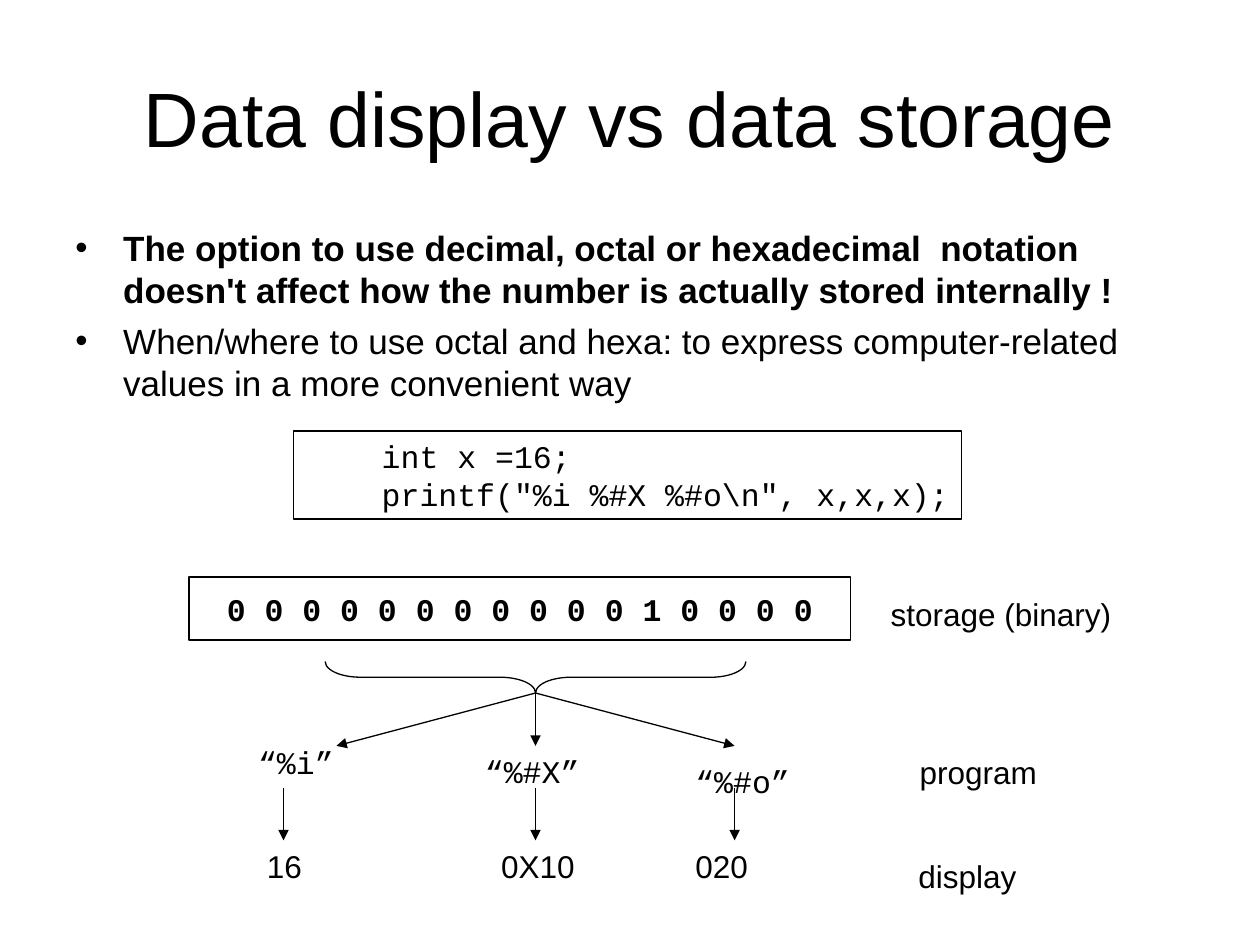
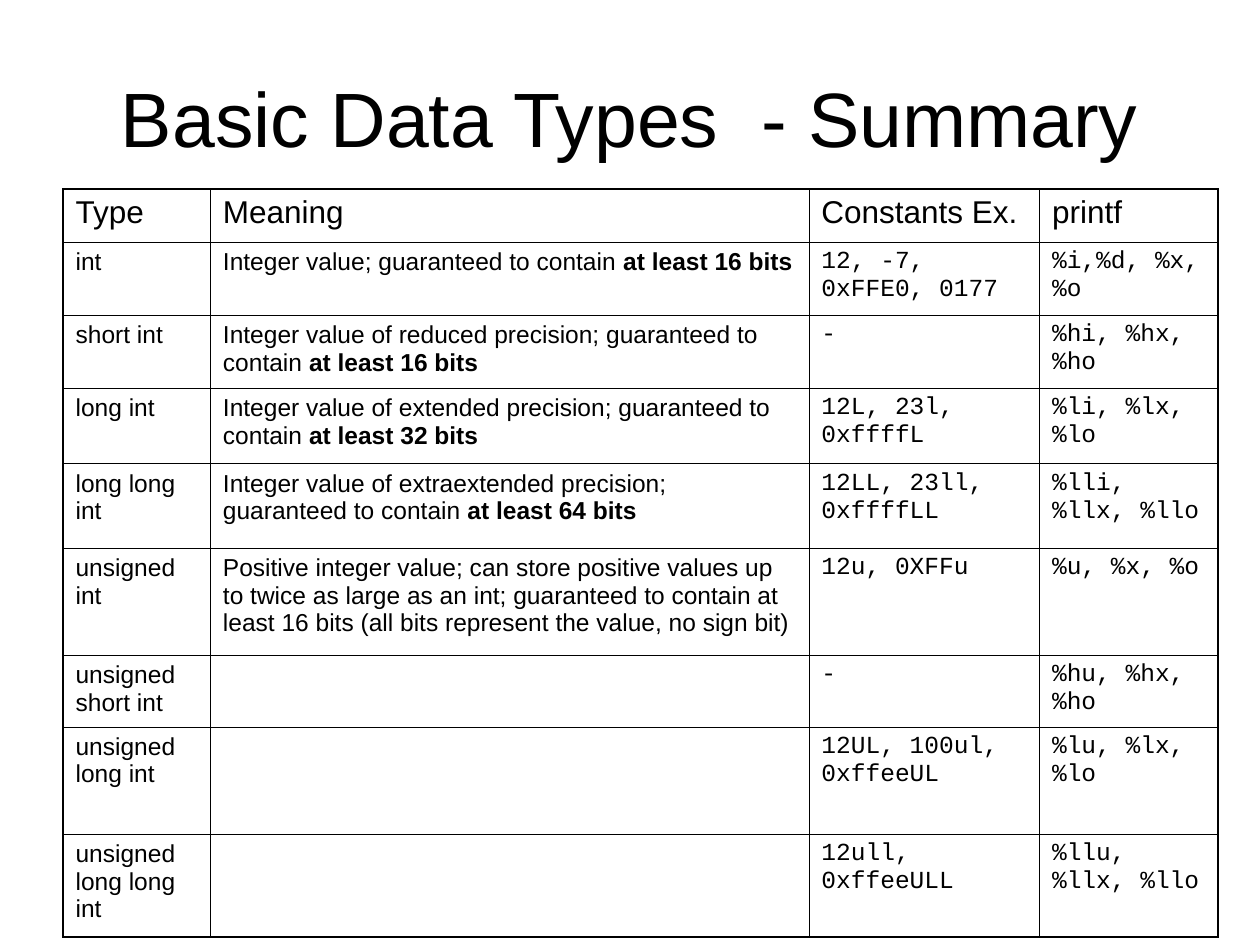
from lxml.etree import SubElement
from pptx import Presentation
from pptx.dml.color import RGBColor
from pptx.enum.shapes import MSO_CONNECTOR, MSO_SHAPE
from pptx.enum.text import MSO_ANCHOR, MSO_AUTO_SIZE, PP_ALIGN
from pptx.oxml.ns import qn
from pptx.util import Inches, Pt

COLORS = {"ink": "000000"}
SANS, MONO = "Arial", "Courier New"
LINE_WIDTH = 0.75
INNER_BORDER, OUTER_BORDER = 0.45, 1.08

HEADERS = ["Type", "Meaning", "Constants Ex.", "printf"]
TYPES = [
    ["int", "Integer value; guaranteed to contain *at least 16 bits*",
     "12, -7, 0xFFE0, 0177", "%i,%d, %x, %o"],
    ["short int", "Integer value of reduced precision; guaranteed to contain *at least 16 bits*",
     "-", "%hi, %hx, %ho"],
    ["long int", "Integer value of extended precision; guaranteed to contain *at least 32 bits*",
     "12L, 23l, 0xffffL", "%li, %lx, %lo"],
    ["long long int",
     "Integer value of extraextended precision; guaranteed to contain *at least 64 bits*",
     "12LL, 23ll, 0xffffLL", "%lli, %llx, %llo"],
    ["unsigned int",
     "Positive integer value; can store positive values up to twice as large as an int; "
     "guaranteed to contain at least 16 bits (all bits represent the value, no sign bit)",
     "12u, 0XFFu", "%u, %x, %o"],
    ["unsigned short int", "", "-", "%hu, %hx, %ho"],
    ["unsigned long int", "", "12UL, 100ul, 0xffeeUL", "%lu, %lx, %lo"],
    ["unsigned long long int", "", "12ull, 0xffeeULL", "%llu, %llx, %llo"],
]
COLUMN_WIDTHS = [1.17, 4.75, 1.83, 1.42]
ROW_HEIGHTS = [0.42, 0.58, 0.58, 0.6, 0.67, 0.85, 0.57, 0.85, 0.82]


def ink():
    """Return the colour shared by text and lines."""
    return RGBColor.from_string(COLORS["ink"])


def inches(*lengths):
    """Convert plain numbers to lengths."""
    return [Inches(length) for length in lengths]


def write(frame, lines, size, font=SANS, **paragraph_format):
    """Fill a text frame; asterisks enclose bold words."""
    for index, line in enumerate(lines):
        paragraph = frame.paragraphs[0] if index == 0 else frame.add_paragraph()
        for name, value in paragraph_format.items():
            setattr(paragraph, name, value)
        paragraph.font.size = Pt(size)
        for part, text in enumerate(line.split("*")):
            if text:
                run = paragraph.add_run()
                run.text = text
                values = {"name": font, "size": Pt(size), "bold": part % 2 == 1}
                for name, value in values.items():
                    setattr(run.font, name, value)
                run.font.color.rgb = ink()


def add_text(slide, box, lines, size=18, font=SANS, wrap=False,
             anchor=MSO_ANCHOR.TOP, **paragraph_format):
    """Add a text box and return its frame; unwrapped boxes grow with their text."""
    frame = slide.shapes.add_textbox(*inches(*box)).text_frame
    frame.word_wrap = wrap
    frame.auto_size = MSO_AUTO_SIZE.NONE if wrap else MSO_AUTO_SIZE.SHAPE_TO_FIT_TEXT
    frame.vertical_anchor = anchor
    write(frame, lines, size, font, **paragraph_format)
    return frame


def add_outline(slide, preset, box):
    """Add an unfilled shape with a thin line."""
    shape = slide.shapes.add_shape(preset, *inches(*box))
    shape.shadow.inherit = False
    shape.fill.background()
    shape.line.color.rgb = ink()
    shape.line.width = Pt(LINE_WIDTH)
    return shape


def add_arrow(slide, start, end):
    """Draw a straight arrow between two points."""
    arrow = slide.shapes.add_connector(MSO_CONNECTOR.STRAIGHT, *inches(*start, *end))
    arrow.line.color.rgb = ink()
    arrow.line.width = Pt(LINE_WIDTH)
    SubElement(arrow.get_or_add_ln(), qn("a:tailEnd"), type="triangle")
    SubElement(arrow.element.spPr, qn("a:effectLst"))


def add_title(slide, text):
    """Place the centred slide title."""
    add_text(slide, (0.5, 0.3, 9, 1.25), [text], 44, wrap=True,
             anchor=MSO_ANCHOR.MIDDLE, alignment=PP_ALIGN.CENTER)


def add_bullets(slide, box, lines):
    """Place a bulleted list with hanging indents."""
    frame = add_text(slide, box, lines, 20, wrap=True, space_before=Pt(5))
    for paragraph in frame.paragraphs:
        properties = paragraph._p.get_or_add_pPr()
        properties.set("marL", str(Inches(0.38)))
        properties.set("indent", str(-Inches(0.38)))
        SubElement(properties, qn("a:buFont"), typeface=SANS)
        SubElement(properties, qn("a:buChar"), char="•")


def add_framed_code(slide, box, lines, inset=0.1, anchor=MSO_ANCHOR.TOP,
                    alignment=PP_ALIGN.LEFT):
    """Place monospaced text in a rectangle."""
    frame = add_outline(slide, MSO_SHAPE.RECTANGLE, box).text_frame
    frame.margin_left = Inches(inset)
    frame.word_wrap = False
    frame.vertical_anchor = anchor
    write(frame, lines, 18, MONO, alignment=alignment)


def add_format_branches(slide, left, top, width):
    """Draw the brace and its three branches from format to displayed value."""
    depth = 0.25
    center = left + width / 2
    fork = top + depth
    brace = add_outline(slide, MSO_SHAPE.RIGHT_BRACE,
                        (center - depth / 2, fork - (depth + width) / 2, depth, width))
    brace.rotation = 90
    brace.adjustments[0] = 1.12

    branches = [
        ("“%i”", (-2.3, 0.35, 0.8), -1.58, -2, "16", (-2.23, 0.5)),
        ("“%#X”", (-0.5, 0.42, 0.95), 0, 0, "0X10", (-0.37, 0.8)),
        ("“%#o”", (1.17, 0.5, 0.95), 1.58, 1.58, "020", (1.17, 0.64)),
    ]
    for code, code_box, branch_end, arrow_x, value, value_box in branches:
        code_x, code_y, code_width = code_box
        value_x, value_width = value_box
        add_arrow(slide, (center, fork), (center + branch_end, fork + 0.42))
        add_text(slide, (center + code_x, fork + code_y, code_width, 0.4), [code], font=MONO)
        add_arrow(slide, (center + arrow_x, fork + 0.75), (center + arrow_x, fork + 1.17))
        add_text(slide, (center + value_x, fork + 1.17, value_width, 0.4), [value])


def set_borders(cell, widths):
    """Set the left, right, top and bottom border widths of a cell."""
    properties = cell._tc.get_or_add_tcPr()
    for side, width in zip("LRTB", widths):
        line = SubElement(properties, qn(f"a:ln{side}"), w=str(Pt(width)))
        fill = SubElement(line, qn("a:solidFill"))
        SubElement(fill, qn("a:srgbClr"), val=COLORS["ink"])


def add_types_table(slide, left, top):
    """Place the table of data types with a heavier outer border."""
    rows = [HEADERS, *TYPES]
    table = slide.shapes.add_table(
        len(rows), len(HEADERS),
        *inches(left, top, sum(COLUMN_WIDTHS), sum(ROW_HEIGHTS))).table
    table.first_row = table.horz_banding = False
    for column, width in zip(table.columns, COLUMN_WIDTHS):
        column.width = Inches(width)
    for row, height in zip(table.rows, ROW_HEIGHTS):
        row.height = Inches(height)

    last_row, last_column = len(rows) - 1, len(HEADERS) - 1
    for r, texts in enumerate(rows):
        for c, text in enumerate(texts):
            cell = table.cell(r, c)
            edges = (c == 0, c == last_column, r == 0, r == last_row)
            set_borders(cell, [OUTER_BORDER if edge else INNER_BORDER for edge in edges])
            cell.fill.background()
            size, space = (18, 4.5) if r == 0 else (14, 3.5)
            font = MONO if r > 0 and c >= 2 else SANS
            write(cell.text_frame, [text], size, font, space_before=Pt(space))


def build_storage_slide(slide):
    """Show how one stored number is displayed in three notations."""
    add_title(slide, "Data display vs data storage")
    add_bullets(slide, (0.5, 1.75, 9, 4.95), [
        "*The option to use decimal, octal or hexadecimal  notation doesn't affect "
        "how the number is actually stored internally !*",
        "When/where to use octal and hexa: to express computer-related values "
        "in a more convenient way",
    ])
    add_framed_code(slide, (2.33, 3.42, 5.3, 0.7),
                    ["int x =16;", r'printf("%i %#X %#o\n", x,x,x);'], inset=0.7)
    bits = " ".join(format(16, "016b"))
    add_framed_code(slide, (1.5, 4.58, 5.25, 0.5), [f"*{bits}*"],
                    anchor=MSO_ANCHOR.MIDDLE, alignment=PP_ALIGN.CENTER)
    add_format_branches(slide, 2.58, 5.25, 3.34)
    for label, left, top, width in [("storage (binary)", 6.97, 4.67, 1.95),
                                    ("program", 7.2, 5.93, 1.13),
                                    ("display", 7.19, 6.75, 0.98)]:
        add_text(slide, (left, top, width, 0.4), [label])


def build_summary_slide(slide):
    """Summarise the basic data types."""
    add_title(slide, "Basic Data Types  - Summary")
    add_types_table(slide, 0.5, 1.5)


def main():
    """Build and save the presentation."""
    presentation = Presentation()
    presentation.slide_width, presentation.slide_height = inches(10, 7.5)
    blank = presentation.slide_layouts[6]
    for build in (build_storage_slide, build_summary_slide):
        build(presentation.slides.add_slide(blank))
    presentation.save("out.pptx")


if __name__ == "__main__":
    main()
